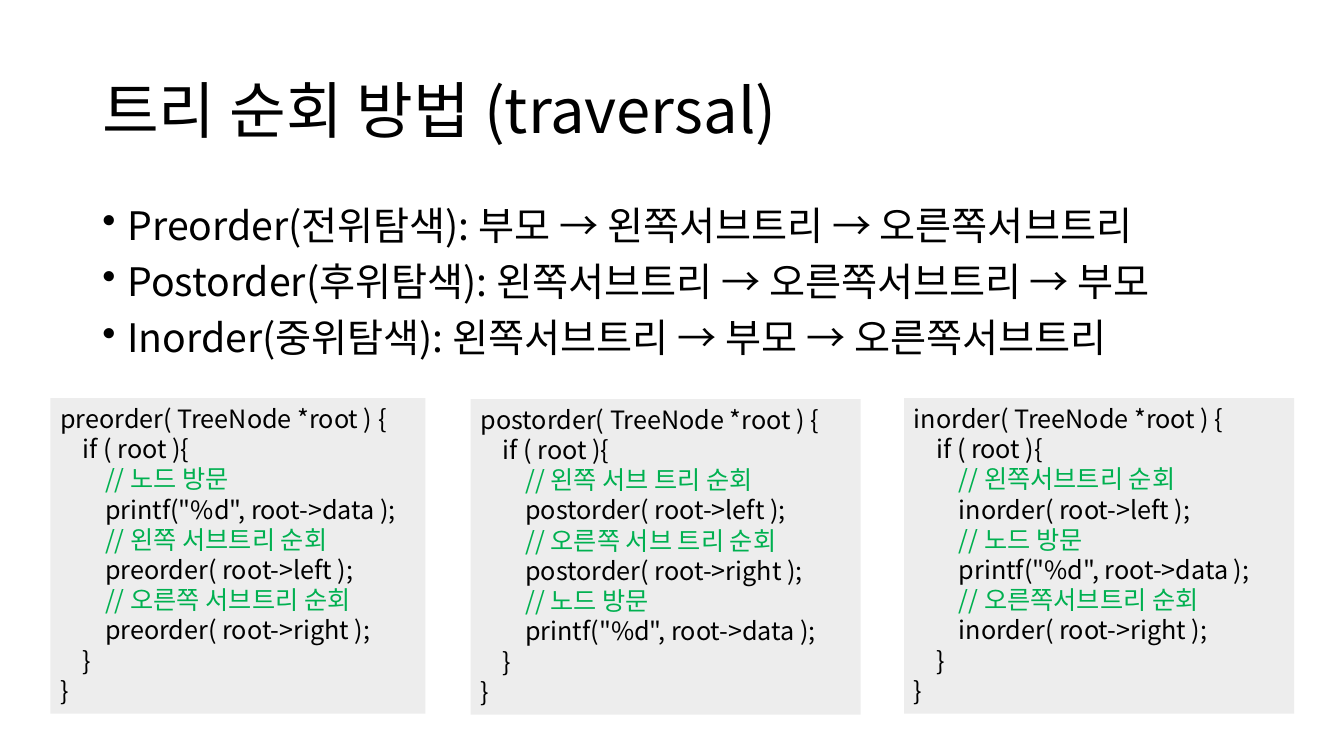
"""Build a slide on the three ways to traverse a tree."""
import pptx
import pptx.dml.color
import pptx.enum.text
import pptx.oxml.ns
import pptx.util
from lxml import etree

Pt = pptx.util.Pt
ANCHOR = pptx.enum.text.MSO_ANCHOR
FIT = pptx.enum.text.MSO_AUTO_SIZE
FONT = "Noto Sans CJK KR"
COLORS = {"text": "000000", "note": "00B050", "panel": "EDEDED"}
STEP = 16
PRINT = 'printf("%d", root->data );'

ORDERS = [
    "Preorder(전위탐색): 부모 → 왼쪽서브트리 → 오른쪽서브트리",
    "Postorder(후위탐색): 왼쪽서브트리 → 오른쪽서브트리 → 부모",
    "Inorder(중위탐색): 왼쪽서브트리 → 부모 → 오른쪽서브트리",
]

PANELS = [
    ("preorder", (36, 284.4, 267.8, 225.4), [
        ("노드 방문", PRINT),
        ("왼쪽 서브트리 순회", "preorder( root->left );"),
        ("오른쪽 서브트리 순회", "preorder( root->right );"),
    ]),
    ("postorder", (336.2, 285.1, 278.6, 225.4), [
        ("왼쪽 서브 트리 순회", "postorder( root->left );"),
        ("오른쪽 서브 트리 순회", "postorder( root->right );"),
        ("노드 방문", PRINT),
    ]),
    ("inorder", (645.8, 284.4, 278.6, 225.4), [
        ("왼쪽서브트리 순회", "inorder( root->left );"),
        ("노드 방문", PRINT),
        ("오른쪽서브트리 순회", "inorder( root->right );"),
    ]),
]


def tint(name):
    """Return the named colour."""
    return pptx.dml.color.RGBColor.from_string(COLORS[name])


def add_box(slide, area, anchor=ANCHOR.TOP, fit=FIT.NONE):
    """Add a wrapping text box at the given left, top, width and height."""
    box = slide.shapes.add_textbox(*map(Pt, area))
    frame = box.text_frame
    frame.word_wrap = True
    frame.auto_size = fit
    frame.vertical_anchor = anchor
    return box


def write(para, text, size=18, color="text", line=1.0, before=0,
          margin=0, indent=0, bullet=None):
    """Fill a paragraph with formatted text."""
    run = para.add_run()
    run.text = text
    run.font.size = Pt(size)
    run.font.name = FONT
    run.font.color.rgb = tint(color)
    qn = pptx.oxml.ns.qn
    etree.SubElement(run.font._element, qn("a:ea"), typeface=FONT)
    para.line_spacing = line
    para.space_before = Pt(before)
    props = para._p.get_or_add_pPr()
    props.set("marL", str(Pt(margin)))
    props.set("indent", str(Pt(indent)))
    if bullet:
        etree.SubElement(props, qn("a:buChar"), char=bullet)


def next_para(frame, index):
    """Return the first paragraph or a new one."""
    return frame.add_paragraph() if index else frame.paragraphs[0]


def add_title(slide, text):
    """Add the slide title."""
    box = add_box(slide, (66, 28.8, 828, 104.4), anchor=ANCHOR.MIDDLE)
    write(box.text_frame.paragraphs[0], text, size=44, line=0.9)


def add_list(slide, items):
    """Add the bulleted list."""
    frame = add_box(slide, (66, 143.8, 828, 342.6)).text_frame
    for index, item in enumerate(items):
        write(next_para(frame, index), item, size=28, line=0.9, before=10,
              margin=18, indent=-18, bullet="•")


def add_code(slide, name, area, steps):
    """Add a shaded panel with the code of one traversal."""
    box = add_box(slide, area, fit=FIT.SHAPE_TO_FIT_TEXT)
    box.fill.solid()
    box.fill.fore_color.rgb = tint("panel")
    lines = [(0, f"{name}( TreeNode *root ) {{", "text"),
             (1, "if ( root ){", "text")]
    for note, call in steps:
        lines += [(2, f"// {note}", "note"), (2, call, "text")]
    lines += [(1, "}", "text"), (0, "}", "text")]
    for index, (level, text, color) in enumerate(lines):
        write(next_para(box.text_frame, index), text, color=color,
              margin=level * STEP)


def main():
    """Build and save the slide."""
    deck = pptx.Presentation()
    deck.slide_width, deck.slide_height = Pt(960), Pt(540)
    slide = deck.slides.add_slide(deck.slide_layouts[6])
    add_title(slide, "트리 순회 방법 (traversal)")
    add_list(slide, ORDERS)
    for name, area, steps in PANELS:
        add_code(slide, name, area, steps)
    deck.save("out.pptx")


if __name__ == "__main__":
    main()
